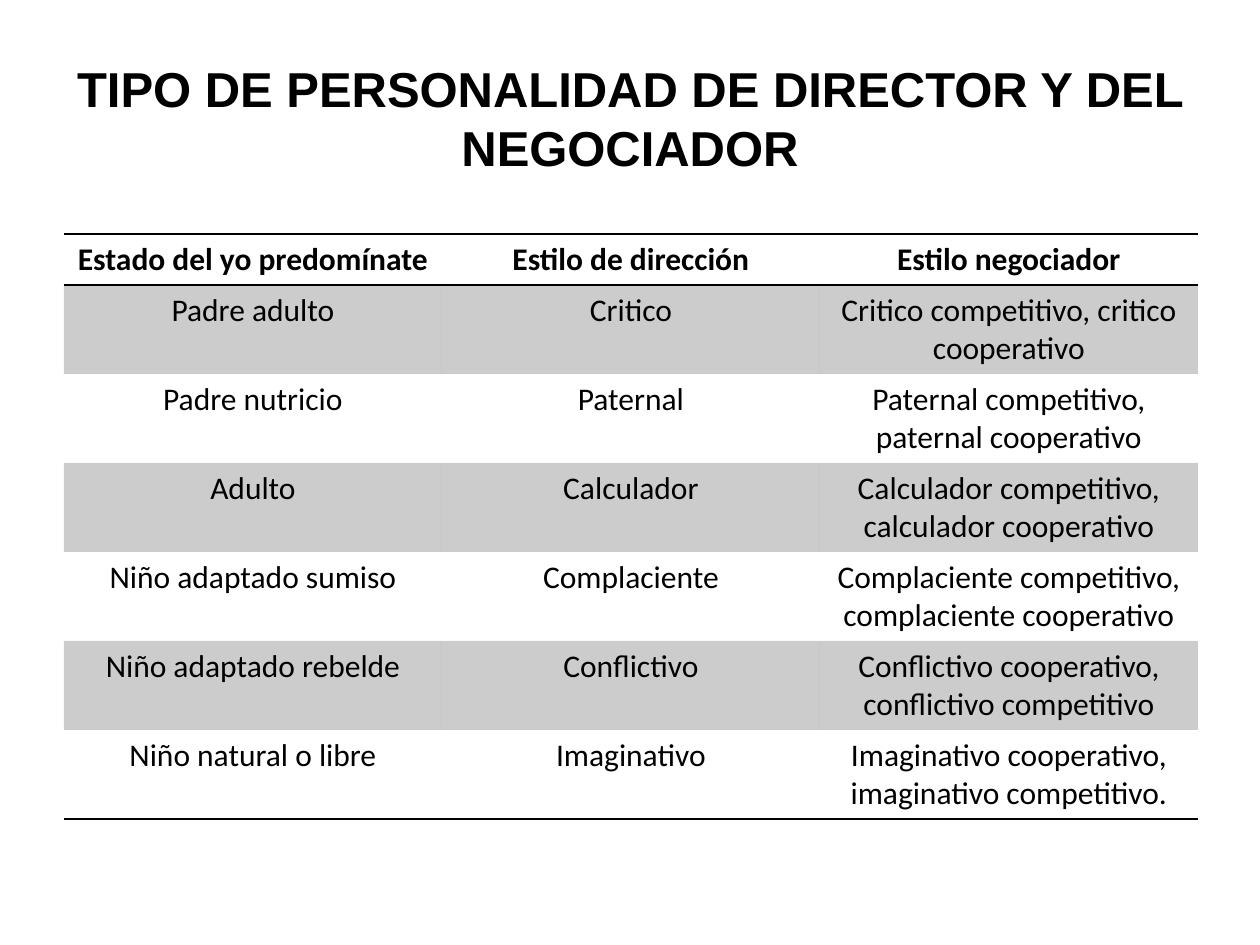
from lxml.etree import SubElement
from pptx import Presentation
from pptx.dml.color import RGBColor
from pptx.enum.text import MSO_ANCHOR, PP_ALIGN
from pptx.oxml import parse_xml
from pptx.oxml.ns import nsdecls, qn
from pptx.util import Emu, Pt

PIXEL = 914400 // 126
BLACK = RGBColor(0x00, 0x00, 0x00)
BAND_OPACITY = 20
PLAIN_TABLE_STYLE = "{2D5ABB26-0587-4C30-8999-92F81FD0307C}"

TITLE = "TIPO DE PERSONALIDAD DE DIRECTOR Y DEL NEGOCIADOR"
ROWS = [
    ("Estado del yo predomínate", "Estilo de dirección", "Estilo negociador"),
    ("Padre adulto", "Critico", "Critico competitivo, critico cooperativo"),
    ("Padre nutricio", "Paternal", "Paternal competitivo, paternal cooperativo"),
    ("Adulto", "Calculador", "Calculador competitivo, calculador cooperativo"),
    ("Niño adaptado sumiso", "Complaciente",
     "Complaciente competitivo, complaciente cooperativo"),
    ("Niño adaptado rebelde", "Conflictivo",
     "Conflictivo cooperativo, conflictivo competitivo"),
    ("Niño natural o libre", "Imaginativo",
     "Imaginativo cooperativo, imaginativo competitivo."),
]
COLUMN_WIDTH = 378
HEADER_HEIGHT = 51
BODY_HEIGHT = 89


def px(value):
    return Emu(value * PIXEL)


def write_centred(text_frame, text, font_name, size, bold):
    paragraph = text_frame.paragraphs[0]
    paragraph.alignment = PP_ALIGN.CENTER
    run = paragraph.add_run()
    run.text = text
    run.font.name = font_name
    run.font.size = Pt(size)
    run.font.bold = bold
    run.font.color.rgb = BLACK


def add_title(slide):
    title = slide.shapes.add_textbox(px(63), px(38), px(1134), px(158))
    title.text_frame.word_wrap = True
    title.text_frame.vertical_anchor = MSO_ANCHOR.MIDDLE
    write_centred(title.text_frame, TITLE, "Arial", 28, True)


def fill_band(cell):
    cell.fill.solid()
    cell.fill.fore_color.rgb = BLACK
    color = cell._tc.tcPr.find(f"{qn('a:solidFill')}/{qn('a:srgbClr')}")
    SubElement(color, qn("a:alpha")).set("val", str(BAND_OPACITY * 1000))


def add_borders(cell, sides):
    properties = cell._tc.get_or_add_tcPr()
    for position, side in enumerate(sides):
        properties.insert(position, parse_xml(
            f'<a:ln{side} {nsdecls("a")} w="{Pt(1)}"><a:solidFill>'
            f'<a:srgbClr val="{BLACK}"/></a:solidFill></a:ln{side}>'))


def add_personality_table(slide):
    columns = len(ROWS[0])
    height = HEADER_HEIGHT + BODY_HEIGHT * (len(ROWS) - 1)
    frame = slide.shapes.add_table(len(ROWS), columns, px(64), px(234),
                                   px(COLUMN_WIDTH * columns), px(height))
    table = frame.table
    table.horz_banding = False
    table._tbl.tblPr.find(qn("a:tableStyleId")).text = PLAIN_TABLE_STYLE
    for column in table.columns:
        column.width = px(COLUMN_WIDTH)
    borders = {0: "TB", len(ROWS) - 1: "B"}
    for index, texts in enumerate(ROWS):
        is_header = index == 0
        table.rows[index].height = px(HEADER_HEIGHT if is_header else BODY_HEIGHT)
        for cell, text in zip(table.rows[index].cells, texts):
            write_centred(cell.text_frame, text, "Calibri", 18, is_header)
            if index % 2:
                fill_band(cell)
            else:
                cell.fill.background()
            add_borders(cell, borders.get(index, ""))


def main():
    presentation = Presentation()
    presentation.slide_width = px(1260)
    presentation.slide_height = px(945)
    slide = presentation.slides.add_slide(presentation.slide_layouts[6])
    add_title(slide)
    add_personality_table(slide)
    presentation.save("out.pptx")


main()
